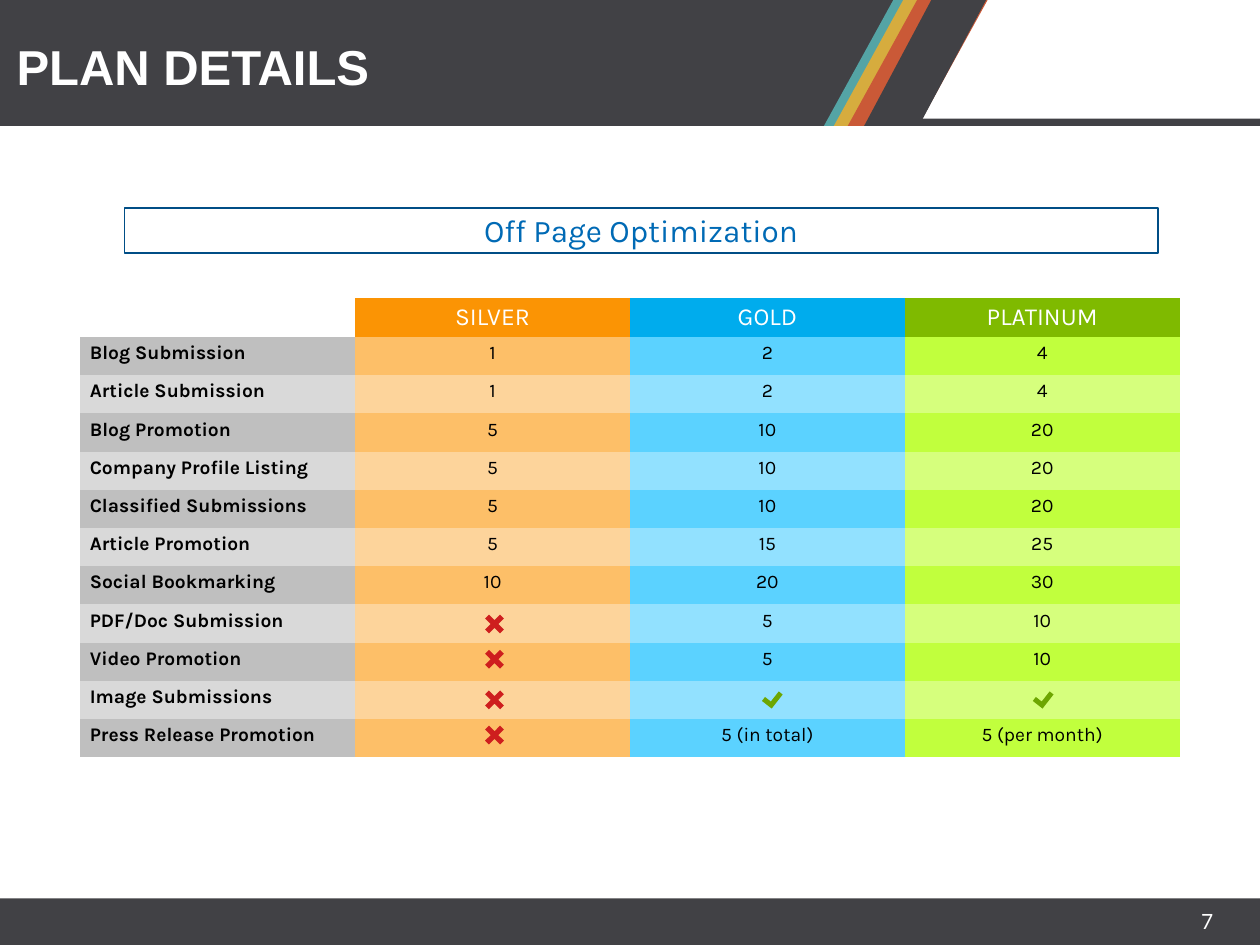
from dataclasses import dataclass
from lxml import etree
from pptx import Presentation
from pptx import util as u
from pptx.dml.color import RGBColor
from pptx.enum import shapes, text
from pptx.oxml.ns import qn

Cm, Pt = u.Cm, u.Pt
Preset, Align, Anchor = shapes.MSO_SHAPE, text.PP_ALIGN, text.MSO_ANCHOR

COLORS = {
    "band": "414145", "teal": "54A4A5", "yellow": "D6AC3E", "red": "CA5937",
    "white": "FFFFFF", "black": "000000", "heading": "006AB5", "frame": "004E86",
    "cross": "CE1E1E", "check": "6DA601",
}
NO_STYLE_NO_GRID = "{2D5ABB26-0587-4C30-8999-92F81FD0307C}"
SLIDE_W, SLIDE_H = 25.4, 19.05
COLUMN_W, ROW_H = 5.54, 0.77


@dataclass(frozen=True)
class Block:
    """A filled preset shape, measured in centimetres."""
    preset: shapes.MSO_SHAPE
    left: float
    top: float
    width: float
    height: float
    color: str
    adjustments: tuple[float, ...] = ()
    rotation: float = 0


@dataclass(frozen=True)
class Plan:
    """A table column: header fill, then the two alternating row fills."""
    name: str
    header: str
    odd: str
    even: str
    values: tuple[str, ...]


def stripe(left: float, width: float, color: str) -> Block:
    return Block(Preset.PARALLELOGRAM, left, 0, width, 2.54, color, (0.551,))


def cross(top: float) -> Block:
    return Block(Preset.MATH_MULTIPLY, 9.68, top, 0.58, 0.58, "cross", (0.19,))


def check(left: float) -> Block:
    return Block(Preset.CORNER, left, 13.94, 0.36, 0.25, "check", (0.404, 0.404), 308.1)


BACKDROP = (
    Block(Preset.RECTANGLE, 0, 2.39, SLIDE_W, 0.15, "band"),
    Block(Preset.RECTANGLE, 0, 0, 18.57, 2.54, "band"),
    stripe(16.61, 2.82, "teal"),
    stripe(16.81, 2.82, "yellow"),
    stripe(17.09, 2.82, "red"),
    stripe(17.42, 2.46, "band"),
    Block(Preset.RECTANGLE, 0, 18.11, SLIDE_W, 0.94, "band"),
    Block(Preset.ROUNDED_RECTANGLE, 1.27, 5.74, 22.86, 9.7, "white", (0.019,)),
)
MARKS = (*map(cross, (12.29, 13.0, 13.82, 14.53)), *map(check, (15.39, 20.85)))

PLANS = (
    Plan("", "FFFFFF", "BFBFBF", "D9D9D9", (
        "Blog Submission", "Article Submission", "Blog Promotion",
        "Company Profile Listing", "Classified Submissions", "Article Promotion",
        "Social Bookmarking", "PDF/Doc Submission", "Video Promotion",
        "Image Submissions", "Press Release Promotion")),
    Plan("SILVER", "FB9404", "FDBF68", "FDD49B",
         ("1", "1", "5", "5", "5", "5", "10", "", "", "", "")),
    Plan("GOLD", "00ACED", "5BD2FF", "92E1FF",
         ("2", "2", "10", "10", "10", "15", "20", "5", "5", "", "5 (in total)")),
    Plan("PLATINUM", "7FBA00", "C1FF3D", "D6FF7D",
         ("4", "4", "20", "20", "20", "25", "30", "10", "10", "", "5 (per month)")),
)


def rgb(color: str) -> RGBColor:
    return RGBColor.from_string(COLORS.get(color, color))


def draw_block(slide, block: Block):
    shape = slide.shapes.add_shape(
        block.preset, Cm(block.left), Cm(block.top), Cm(block.width), Cm(block.height))
    shape.shadow.inherit = False
    shape.fill.solid()
    shape.fill.fore_color.rgb = rgb(block.color)
    shape.line.fill.background()
    shape.rotation = block.rotation
    for index, value in enumerate(block.adjustments):
        shape.adjustments[index] = value
    return shape


def write(frame, words: str, size: float, font: str, color: str,
          align: Align = Align.CENTER, bold: bool = False) -> None:
    paragraph = frame.paragraphs[0]
    paragraph.alignment = align
    run = paragraph.add_run()
    run.text = words
    run.font.size, run.font.name, run.font.bold = Pt(size), font, bold
    run.font.color.rgb = rgb(color)


def fill_cell(cell, words: str, fill: str, size: float, color: str,
              align: Align, bold: bool) -> None:
    cell.fill.solid()
    cell.fill.fore_color.rgb = rgb(fill)
    cell.margin_left = cell.margin_right = Cm(0.19)
    cell.margin_top = cell.margin_bottom = Cm(0.1)
    if words:
        write(cell.text_frame, words, size, "Karla", color, align, bold)
    else:  # keeps an empty cell from stretching its row
        paragraph = cell.text_frame.paragraphs[0]._p
        etree.SubElement(paragraph, qn("a:endParaRPr"), sz=str(int(size * 100)))


def draw_plan_table(slide, plans: tuple[Plan, ...]) -> None:
    row_count = len(plans[0].values) + 1
    table = slide.shapes.add_table(
        row_count, len(plans), Cm(1.62), Cm(6), Cm(COLUMN_W * len(plans)),
        Cm(ROW_H * row_count)).table
    table._tbl.tblPr.find(qn("a:tableStyleId")).text = NO_STYLE_NO_GRID
    table.first_row = table.horz_banding = False
    for row in table.rows:
        row.height = Cm(ROW_H)
    for column, plan in enumerate(plans):
        table.columns[column].width = Cm(COLUMN_W)
        is_label = column == 0
        align = Align.LEFT if is_label else Align.CENTER
        fill_cell(table.cell(0, column), plan.name, plan.header, 14, "white", align, False)
        for row, value in enumerate(plan.values, start=1):
            fill = plan.odd if row % 2 else plan.even
            fill_cell(table.cell(row, column), value, fill, 11, "black", align, is_label)


def draw_heading(slide) -> None:
    heading = draw_block(slide, Block(Preset.RECTANGLE, 2.51, 4.19, 20.83, 0.91, "white"))
    heading.line.color.rgb = rgb("frame")
    heading.line.width = Pt(1)
    heading.text_frame.vertical_anchor = Anchor.MIDDLE
    write(heading.text_frame, "Off Page Optimization", 18, "Karla", "heading")


def draw_page_number(slide) -> None:
    number = slide.shapes.add_textbox(Cm(19.63), Cm(18.19), Cm(5.08), Cm(0.84))
    number.text_frame.word_wrap = True
    write(number.text_frame, "7", 12, "Lato", "white", Align.RIGHT)


def place_title(slide) -> None:
    """Format the title and bring it in front of the band."""
    title = slide.shapes.title
    title.left, title.top, title.width, title.height = Cm(0.08), Cm(0.51), Cm(24.82), Cm(1.8)
    frame = title.text_frame
    frame.auto_size = text.MSO_AUTO_SIZE.NONE
    frame.vertical_anchor = Anchor.TOP
    frame.margin_top = Cm(0.22)
    write(frame, "PLAN DETAILS", 28, "Arial", "white", Align.LEFT, True)
    slide.shapes._spTree.append(title._element)


def main() -> None:
    deck = Presentation()
    deck.slide_width, deck.slide_height = Cm(SLIDE_W), Cm(SLIDE_H)
    slide = deck.slides.add_slide(deck.slide_layouts[5])
    for block in BACKDROP:
        draw_block(slide, block)
    draw_page_number(slide)
    draw_heading(slide)
    draw_plan_table(slide, PLANS)
    for mark in MARKS:
        draw_block(slide, mark)
    place_title(slide)
    deck.save("out.pptx")


if __name__ == "__main__":
    main()
